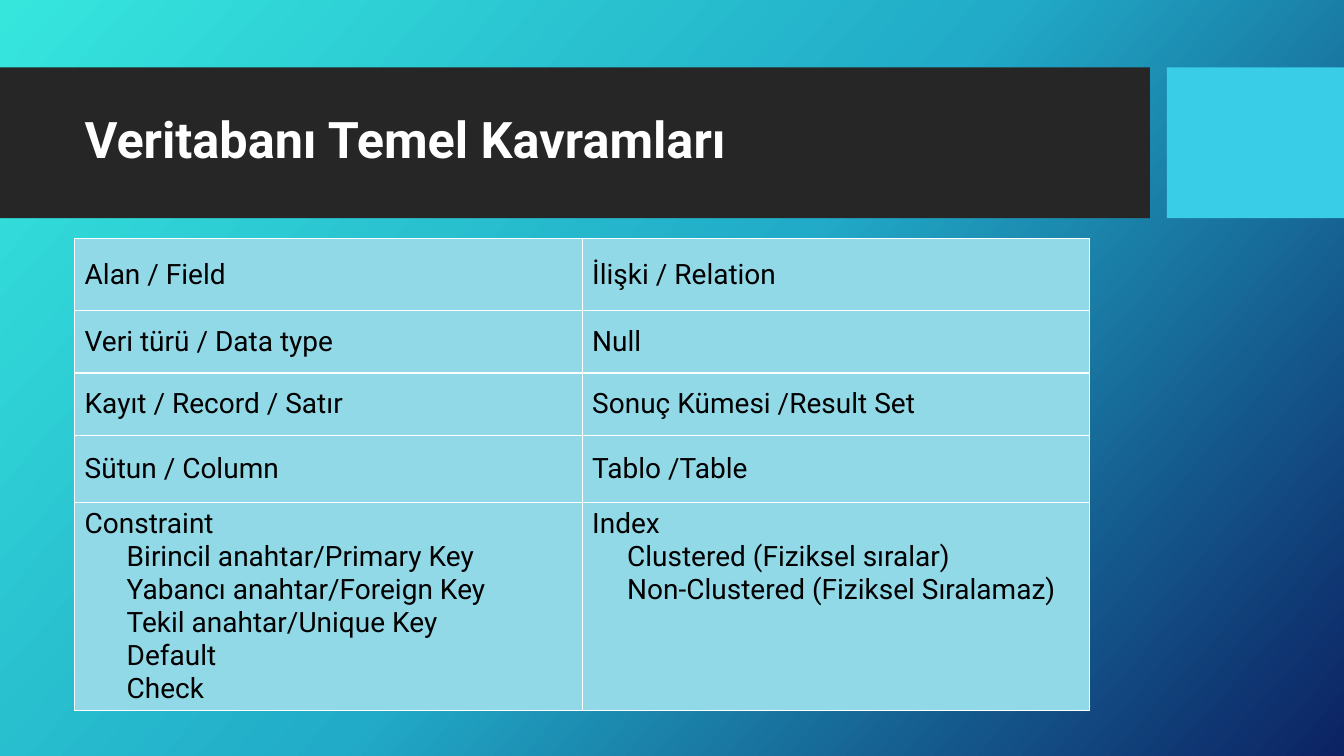
"""Build a slide with a title band and a table of database terms."""
from dataclasses import dataclass

from lxml.etree import SubElement as Sub
from pptx import Presentation as Deck
from pptx.dml.color import RGBColor as Rgb
from pptx.enum.shapes import MSO_SHAPE as Shape
from pptx.enum.text import MSO_ANCHOR as Anchor, PP_ALIGN as Align
from pptx.oxml import parse_xml as to_xml
from pptx.oxml.ns import nsdecls, qn
from pptx.util import Cm, Pt


@dataclass(frozen=True)
class Theme:
    font: str = "Roboto"
    head: int = 36
    body: int = 20
    edge: int = 1
    dark: str = "262626"
    tile: str = "39CDE7"
    cell: str = "92D9E8"
    white: str = "FFFFFF"
    black: str = "000000"
    stops: tuple = ((0, "36E6DD"), (50, "21ABC8"), (100, "0C2263"))
    angle: int = 42


def write(frame, lines, font, size, color, bold=False, space=None, inset=0):
    for num, line in enumerate(lines):
        para = frame.paragraphs[0] if num == 0 else frame.add_paragraph()
        para.alignment = Align.LEFT
        para.line_spacing = space
        if num and inset:
            para._p.get_or_add_pPr().set("marL", str(Cm(inset)))
        run = para.add_run()
        run.text = line
        run.font.name = font
        run.font.size = Pt(size)
        run.font.bold = bold
        run.font.color.rgb = Rgb.from_string(color)


class Page:
    def __init__(self, deck, theme):
        self.theme = theme
        self.slide = deck.slides.add_slide(deck.slide_layouts[5])

    def ground(self):
        fill = self.slide.background.fill
        fill.gradient()
        stops = "".join(
            f'<a:gs pos="{pos * 1000}"><a:srgbClr val="{color}"/></a:gs>'
            for pos, color in self.theme.stops)
        grad = to_xml(
            f'<a:gradFill {nsdecls("a")} rotWithShape="1"><a:gsLst>{stops}</a:gsLst>'
            f'<a:lin ang="{self.theme.angle * 60000}" scaled="0"/></a:gradFill>')
        old = self.slide._element.find(".//" + qn("a:gradFill"))
        old.getparent().replace(old, grad)

    def block(self, left, top, width, height, color):
        box = self.slide.shapes.add_shape(
            Shape.RECTANGLE, Cm(left), Cm(top), Cm(width), Cm(height))
        box.shadow.inherit = False
        box.fill.solid()
        box.fill.fore_color.rgb = Rgb.from_string(color)
        box.line.fill.background()

    def title(self, text, left, top, width, height):
        box = self.slide.shapes.title
        box.left, box.top = Cm(left), Cm(top)
        box.width, box.height = Cm(width), Cm(height)
        self.slide.shapes._spTree.append(box._element)
        frame = box.text_frame
        frame.word_wrap = True
        frame.vertical_anchor = Anchor.MIDDLE
        write(frame, [text], self.theme.font, self.theme.head,
              self.theme.white, bold=True, space=0.9)

    def border(self, cell):
        props = cell._tc.get_or_add_tcPr()
        for num, side in enumerate(("lnL", "lnR", "lnT", "lnB")):
            line = props.makeelement(qn("a:" + side), {"w": str(Pt(self.theme.edge))})
            fill = Sub(line, qn("a:solidFill"))
            Sub(fill, qn("a:srgbClr"), val=self.theme.white)
            props.insert(num, line)

    def table(self, rows, left, top, width, sizes, insets):
        grid = self.slide.shapes.add_table(
            len(rows), len(insets), Cm(left), Cm(top), Cm(width), Cm(sum(sizes))).table
        grid.first_row = grid.horz_banding = False
        for y, (row, size) in enumerate(zip(rows, sizes)):
            grid.rows[y].height = Cm(size)
            for x, (lines, inset) in enumerate(zip(row, insets)):
                cell = grid.cell(y, x)
                cell.fill.solid()
                cell.fill.fore_color.rgb = Rgb.from_string(self.theme.cell)
                cell.vertical_anchor = Anchor.MIDDLE if len(lines) == 1 else Anchor.TOP
                write(cell.text_frame, lines, self.theme.font, self.theme.body,
                      self.theme.black, inset=inset)
                self.border(cell)


def main():
    deck = Deck()
    deck.slide_width, deck.slide_height = Cm(33.87), Cm(19.05)
    theme = Theme()
    page = Page(deck, theme)
    page.ground()
    page.block(0, 1.7, 28.98, 3.8, theme.dark)
    page.block(29.41, 1.7, 4.46, 3.8, theme.tile)
    page.title("Veritabanı Temel Kavramları", 1.88, 2.08, 26.7, 3)
    rows = [
        (["Alan / Field"], ["İlişki / Relation"]),
        (["Veri türü / Data type"], ["Null"]),
        (["Kayıt / Record / Satır"], ["Sonuç Kümesi /Result Set"]),
        (["Sütun / Column"], ["Tablo /Table"]),
        (["Constraint", "Birincil anahtar/Primary Key", "Yabancı anahtar/Foreign Key",
          "Tekil anahtar/Unique Key", "Default", "Check"],
         ["Index", "Clustered (Fiziksel sıralar)",
          "Non-Clustered (Fiziksel Sıralamaz)"]),
    ]
    page.table(rows, 1.88, 6.02, 25.58, (1.8, 1.58, 1.58, 1.68, 5.24), (1.06, 0.88))
    deck.save("out.pptx")


if __name__ == "__main__":
    main()
